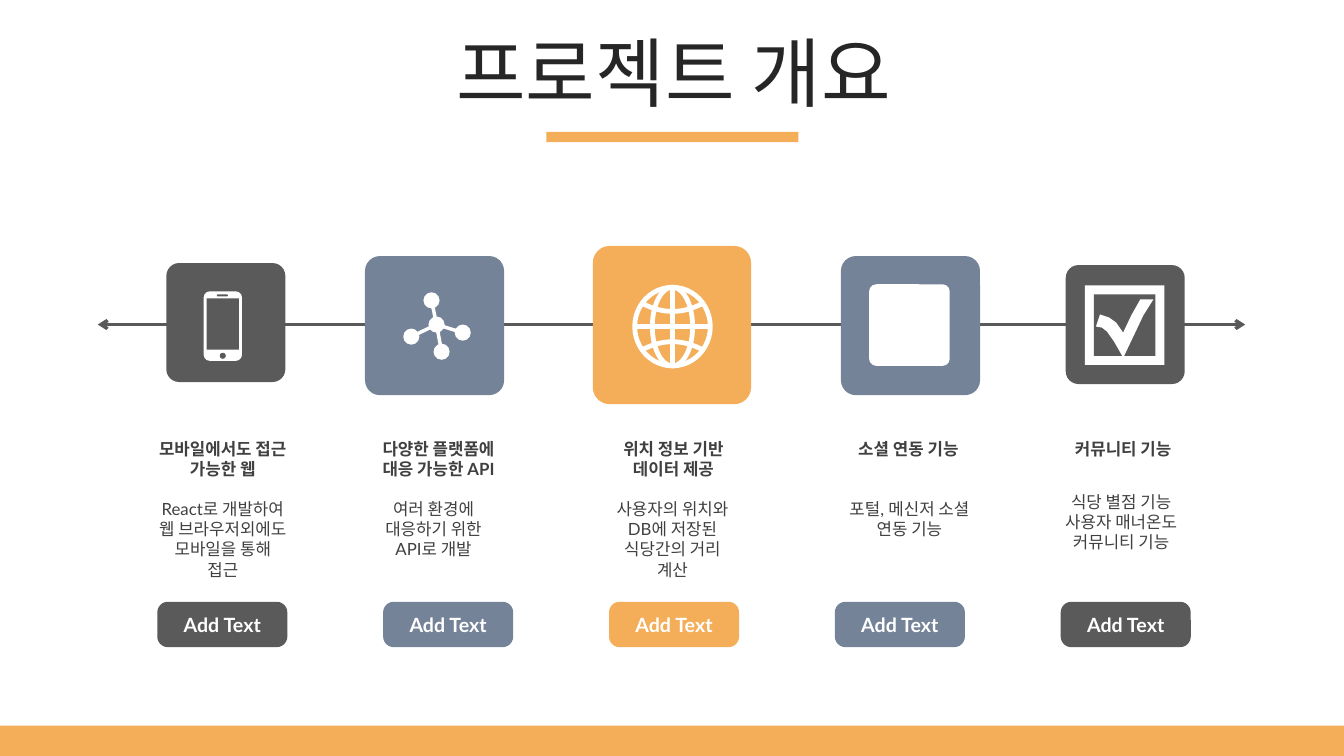
from pptx import Presentation
from pptx.dml.color import RGBColor as RGB
from pptx.enum.shapes import MSO_CONNECTOR as LINE, MSO_SHAPE as KIND
from pptx.enum.text import MSO_ANCHOR as ANCHOR, PP_ALIGN as ALIGN
from pptx.oxml.ns import qn
from pptx.util import Inches, Pt
from lxml import etree

FONT = "Lato"
HUES = {"gray": "5A5A5A", "blue": "748398", "gold": "F4AE59", "axis": "595959",
        "white": "FFFFFF", "title": "262626", "body": "404040"}
TITLE = "프로젝트 개요"
BUTTON = "Add Text"
ITEMS = [
    {"hue": "gray", "tile": (1.65, 2.61, 1.18), "head": (1.46, ["모바일에서도 접근 가능한 웹"]),
     "body": (1.47, 4.9, ["React로 개발하여", "웹 브라우저외에도", "모바일을 통해 접근"])},
    {"hue": "blue", "tile": (3.62, 2.54, 1.38), "head": (3.6, ["다양한 플랫폼에", "대응 가능한 API"]),
     "body": (3.56, 4.9, ["여러 환경에 대응하기 위한", "API로 개발"])},
    {"hue": "gold", "tile": (5.88, 2.44, 1.57), "head": (5.93, ["위치 정보 기반 데이터 제공"]),
     "body": (5.93, 4.9, ["사용자의 위치와", "DB에 저장된 식당간의 거리 계산"])},
    {"hue": "blue", "tile": (8.34, 2.54, 1.38), "head": (8.26, ["소셜 연동 기능"]),
     "body": (8.28, 4.9, ["포털, 메신저 소셜 연동 기능"])},
    {"hue": "gray", "tile": (10.57, 2.63, 1.18), "head": (10.39, ["커뮤니티 기능"]),
     "body": (10.38, 4.83, ["식당 별점 기능", "사용자 매너온도 커뮤니티 기능"])},
]
HUB = (4.33, 3.22)
NODES = [(4.28, 2.98), (4.59, 3.3), (4.38, 3.49), (4.08, 3.34)]
TICK = [(10.87, 3.24), (10.91, 3.12), (11.0, 3.15), (11.07, 3.2), (11.14, 3.3),
        (11.22, 3.13), (11.31, 2.97), (11.44, 2.97), (11.34, 3.13), (11.25, 3.32),
        (11.15, 3.53), (11.13, 3.53), (11.05, 3.39), (10.98, 3.29), (10.93, 3.25)]

deck = Presentation()
deck.slide_width, deck.slide_height = Inches(13.33), Inches(7.5)
slide = deck.slides.add_slide(deck.slide_layouts[6])
parts = slide.shapes


def color(hue):
    return RGB.from_string(HUES[hue])


def paint(shape, fill=None, line=None, width=1):
    shape.shadow.inherit = False
    if fill:
        shape.fill.solid()
        shape.fill.fore_color.rgb = color(fill)
    else:
        shape.fill.background()
    if line:
        shape.line.color.rgb = color(line)
        shape.line.width = Pt(width)
    else:
        shape.line.fill.background()
    return shape


def draw(kind, x, y, w, h, fill=None, round=None, **style):
    shape = parts.add_shape(kind, Inches(x), Inches(y), Inches(w), Inches(h))
    if round is not None:
        shape.adjustments[0] = round
    return paint(shape, fill, **style)


def join(start, end, hue, width):
    line = parts.add_connector(LINE.STRAIGHT, *[Inches(n) for n in start + end])
    line.line.color.rgb = color(hue)
    line.line.width = Pt(width)
    etree.SubElement(line._element.spPr, qn("a:effectLst"))
    return line


def trace(points, close, **style):
    (x, y), *rest = [(Inches(a), Inches(b)) for a, b in points]
    pen = parts.build_freeform(x, y)
    pen.add_line_segments(rest, close=close)
    return paint(pen.convert_to_shape(), **style)


def write(shape, lines, size=12, hue="body", bold=False, anchor=ANCHOR.TOP,
          before=0, space=None):
    frame = shape.text_frame
    frame.word_wrap = True
    frame.vertical_anchor = anchor
    frame.margin_top = frame.margin_bottom = Inches(0.05)
    for i, line in enumerate(lines):
        para = frame.add_paragraph() if i else frame.paragraphs[0]
        para.alignment = ALIGN.CENTER
        para.space_before = Pt(before)
        para.line_spacing = space
        run = para.add_run()
        run.text = line
        font = run.font
        font.name, font.size, font.bold = FONT, Pt(size), bold
        font.color.rgb = color(hue)


def box(x, y, w, h):
    return parts.add_textbox(Inches(x), Inches(y), Inches(w), Inches(h))


def phone():
    draw(KIND.ROUNDED_RECTANGLE, 2.02, 2.89, 0.38, 0.69, "white", 0.16)
    draw(KIND.RECTANGLE, 2.05, 2.96, 0.32, 0.51, "gray")
    draw(KIND.ROUNDED_RECTANGLE, 2.15, 2.92, 0.11, 0.02, "gray", 0.5)
    draw(KIND.OVAL, 2.18, 3.5, 0.06, 0.06, "gray")


def network():
    for node in NODES:
        join(HUB, node, "white", 2.5)
    for x, y in [HUB] + NODES:
        draw(KIND.OVAL, x - 0.08, y - 0.08, 0.16, 0.16, "white")


def globe():
    x, y, w, h = 6.67, 3.24, 0.75, 0.78
    pen = {"line": "white", "width": 3.4}
    for wide in (w, 0.4):
        draw(KIND.OVAL, x - wide / 2, y - h / 2, wide, h, **pen)
    join((x, y - h / 2), (x, y + h / 2), "white", 3.4)
    join((x - w / 2, y), (x + w / 2, y), "white", 3.4)
    for side in (-1, 1):
        bow = [(x + 0.3 * t / 8, y + side * (0.15 + 0.08 * (t / 8) ** 2))
               for t in range(-8, 9)]
        trace(bow, False, **pen)


def badge():
    draw(KIND.ROUNDED_RECTANGLE, 8.62, 2.82, 0.8, 0.81, "white", 0.09)


def check():
    draw(KIND.RECTANGLE, 10.76, 2.83, 0.79, 0.79, "white")
    draw(KIND.RECTANGLE, 10.85, 2.92, 0.61, 0.61, "gray")
    trace(TICK, True, fill="white")


draw(KIND.RECTANGLE, 5.42, 1.31, 2.5, 0.1, "gold")
draw(KIND.RECTANGLE, 0, 7.2, 13.33, 0.3, "gold")
write(box(0.35, 0.37, 12.66, 0.79), [TITLE], size=54, hue="title",
      anchor=ANCHOR.MIDDLE, before=10, space=0.9)

axis = join((0.97, 3.22), (12.35, 3.22), "axis", 2.25)
for end in ("a:headEnd", "a:tailEnd"):
    etree.SubElement(axis.line._get_or_add_ln(), qn(end), type="arrow")

for i, (item, icon) in enumerate(zip(ITEMS, (phone, network, globe, badge, check))):
    x, y, side = item["tile"]
    draw(KIND.ROUNDED_RECTANGLE, x, y, side, side, item["hue"], 0.107)
    icon()
    x, lines = item["head"]
    write(box(x, 4.3, 1.5, 0.5), lines, bold=True)
    x, y, lines = item["body"]
    write(box(x, y, 1.48, 0.71), lines)
    button = draw(KIND.ROUNDED_RECTANGLE, 1.56 + 2.24 * i, 5.97, 1.29, 0.45,
                  item["hue"], 0.233)
    write(button, [BUTTON], size=14, hue="white", bold=True, anchor=ANCHOR.MIDDLE)

deck.save("out.pptx")
